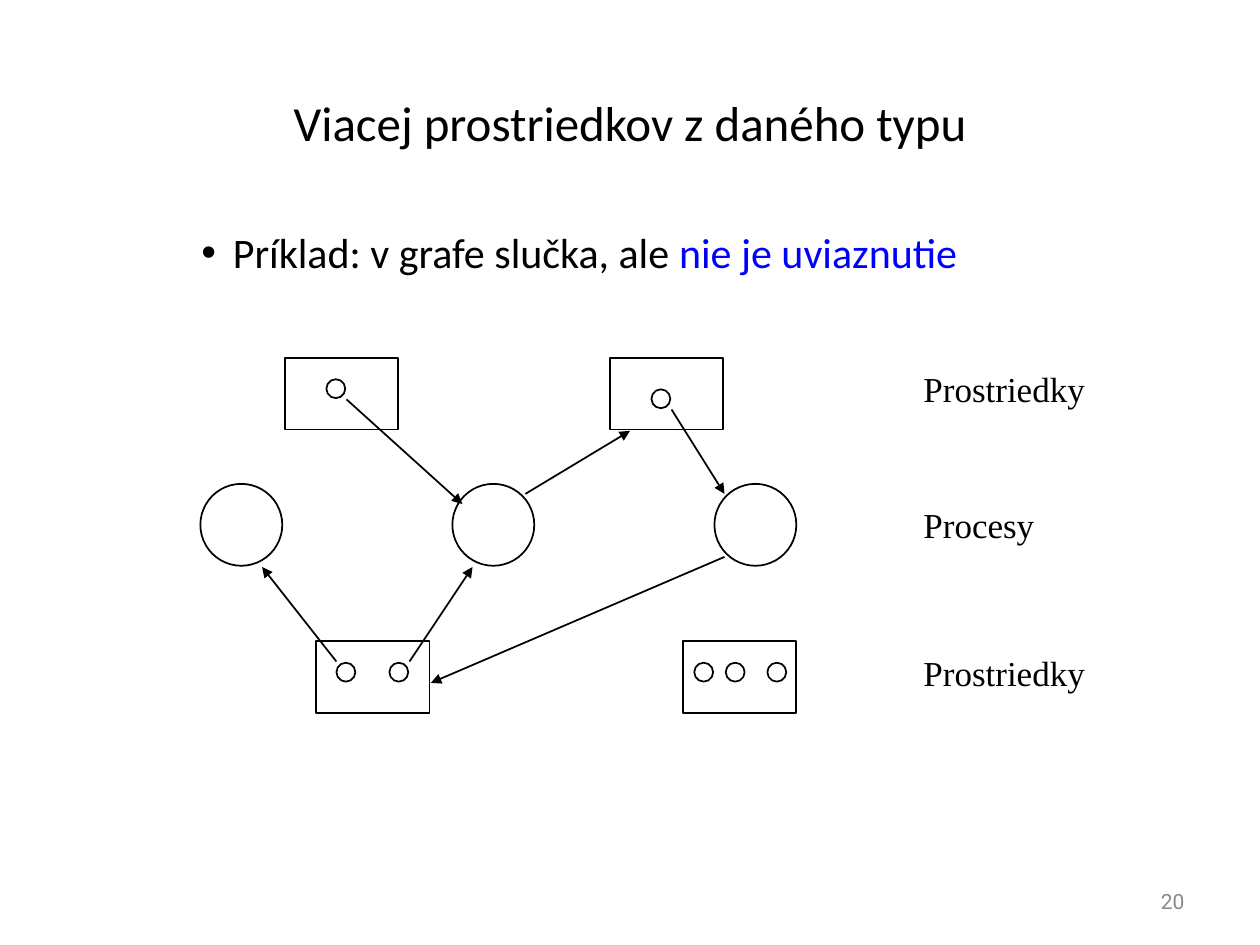
from lxml import etree
from pptx import Presentation
from pptx.dml.color import RGBColor
from pptx.enum.shapes import MSO_CONNECTOR, MSO_SHAPE
from pptx.enum.text import MSO_ANCHOR, PP_ALIGN
from pptx.oxml.ns import qn
from pptx.util import Inches, Pt

COLORS = {"ink": "000000", "paper": "FFFFFF", "accent": "0000FF", "muted": "898989"}

TITLE = "Viacej prostriedkov z daného typu"
EXAMPLE = [("Príklad: v grafe slučka, ale ", "ink"), ("nie je uviaznutie", "accent")]
PAGE_NUMBER = "20"

# Row labels: text, top, width
LABEL_LEFT = 7.23
LABELS = [("Prostriedky", 2.87, 1.48), ("Procesy", 3.95, 1.08), ("Prostriedky", 5.12, 1.48)]

# Resources: left and top of the box, top of its instances, their left edges
RESOURCE_SIZE = (0.9, 0.57)
INSTANCE_SIZE = (0.15, 0.15)
RESOURCES = [
    (2.26, 2.84, 3.01, [2.59]),
    (4.84, 2.84, 3.09, [5.17]),
    (2.51, 5.09, 5.26, [2.67, 3.09]),
    (5.42, 5.09, 5.26, [5.51, 5.76, 6.09]),
]

# Processes share one row
PROCESS_SIZE = (0.65, 0.65)
PROCESS_TOP = 3.84
PROCESS_LEFTS = [1.59, 3.59, 5.67]

# Arrows: start, end
ASSIGNMENTS = [
    ((2.75, 3.17), (3.67, 4)),
    ((5.33, 3.25), (5.75, 3.92)),
    ((2.67, 5.25), (2.08, 4.5)),
    ((3.25, 5.25), (3.75, 4.5)),
]
REQUESTS = [
    ((4.17, 3.92), (5, 3.42)),
    ((5.75, 4.42), (3.42, 5.42)),
]


def color(name):
    return RGBColor.from_string(COLORS[name])


def add_text(page, spans, area, size, font, align=PP_ALIGN.LEFT,
             anchor=MSO_ANCHOR.TOP, wrap=True):
    box = page.shapes.add_textbox(*map(Inches, area))
    frame = box.text_frame
    frame.word_wrap = wrap
    frame.vertical_anchor = anchor
    para = frame.paragraphs[0]
    para.alignment = align
    para.font.size = Pt(size)
    para.font.name = font
    for text, tint in spans:
        span = para.add_run()
        span.text = text
        span.font.color.rgb = color(tint)
    return para


def add_bullet(para, margin, indent):
    props = para._p.get_or_add_pPr()
    props.set("marL", str(Inches(margin)))
    props.set("indent", str(Inches(indent)))
    tint = etree.Element(qn("a:buClr"))
    etree.SubElement(tint, qn("a:srgbClr"), val=COLORS["ink"])
    font = etree.Element(qn("a:buFont"), typeface="Arial")
    mark = etree.Element(qn("a:buChar"), char="•")
    # Bullet elements come after spacing and before default run properties
    defaults = props.find(qn("a:defRPr"))
    for part in (tint, font, mark):
        if defaults is None:
            props.append(part)
        else:
            defaults.addprevious(part)


def add_node(page, kind, left, top, size):
    node = page.shapes.add_shape(kind, *map(Inches, (left, top, *size)))
    node.shadow.inherit = False
    node.fill.solid()
    node.fill.fore_color.rgb = color("paper")
    node.line.color.rgb = color("ink")
    node.line.width = Pt(1)


def add_arrow(page, start, end):
    arrow = page.shapes.add_connector(MSO_CONNECTOR.STRAIGHT, *map(Inches, (*start, *end)))
    arrow.line.color.rgb = color("ink")
    arrow.line.width = Pt(1)
    etree.SubElement(arrow.line._get_or_add_ln(), qn("a:tailEnd"), type="triangle")
    etree.SubElement(arrow._element.spPr, qn("a:effectLst"))


def main():
    deck = Presentation()
    deck.slide_width, deck.slide_height = Inches(10), Inches(7.5)
    page = deck.slides.add_slide(deck.slide_layouts[6])

    # Title, example and page number
    add_text(page, [(TITLE, "ink")], (0.5, 0.42, 9, 1.1), 28, "Calibri",
             PP_ALIGN.CENTER, MSO_ANCHOR.MIDDLE)
    example = add_text(page, EXAMPLE, (0.5, 1.75, 9, 4.95), 24, "Calibri")
    example.space_before = Pt(6)
    add_bullet(example, 1.25, -0.25)
    add_text(page, [(PAGE_NUMBER, "muted")], (7.17, 6.95, 2.33, 0.4), 12, "Roboto",
             PP_ALIGN.RIGHT, MSO_ANCHOR.MIDDLE)

    # Resources with their instances
    for left, top, instance_top, instance_lefts in RESOURCES:
        add_node(page, MSO_SHAPE.RECTANGLE, left, top, RESOURCE_SIZE)
        for instance_left in instance_lefts:
            add_node(page, MSO_SHAPE.OVAL, instance_left, instance_top, INSTANCE_SIZE)

    # Processes
    for left in PROCESS_LEFTS:
        add_node(page, MSO_SHAPE.OVAL, left, PROCESS_TOP, PROCESS_SIZE)

    # Assignments and requests
    for start, end in ASSIGNMENTS + REQUESTS:
        add_arrow(page, start, end)

    # Row labels
    for text, top, width in LABELS:
        add_text(page, [(text, "ink")], (LABEL_LEFT, top, width, 0.43), 20,
                 "Times New Roman", wrap=False)

    deck.save("out.pptx")


if __name__ == "__main__":
    main()
